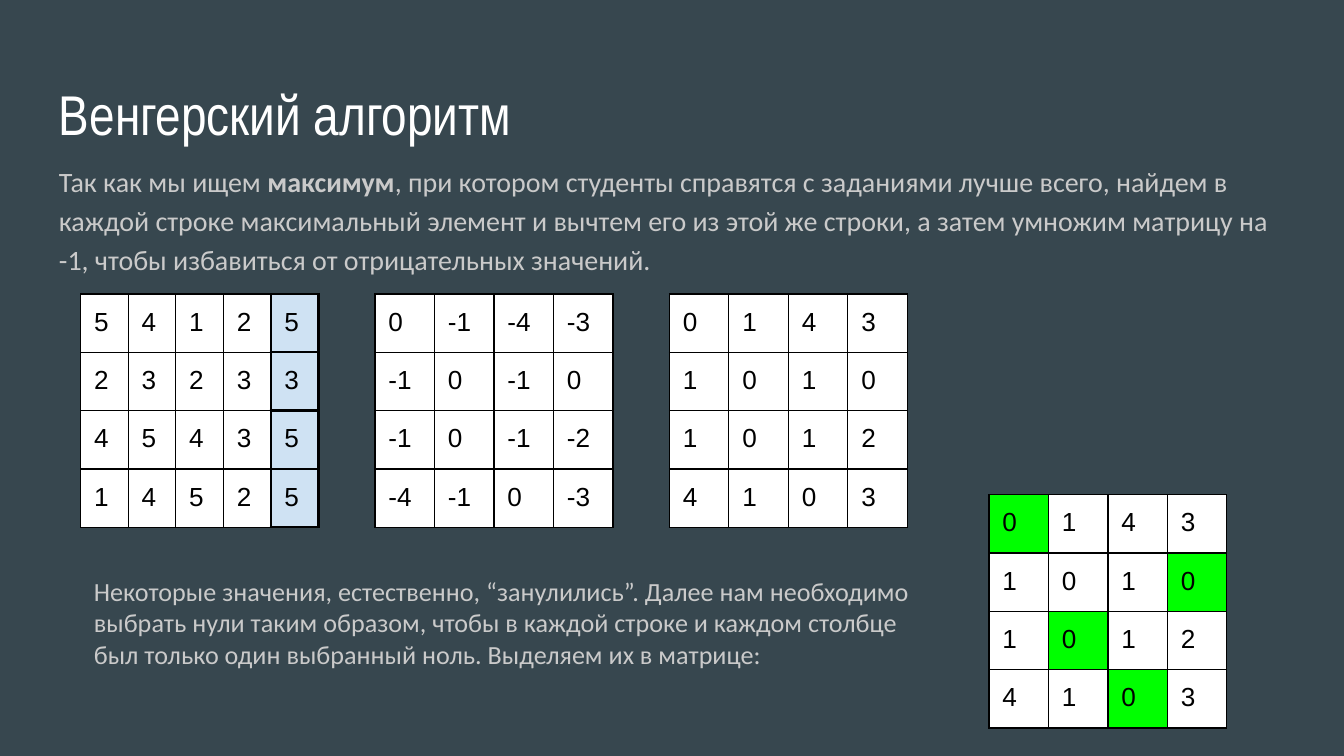
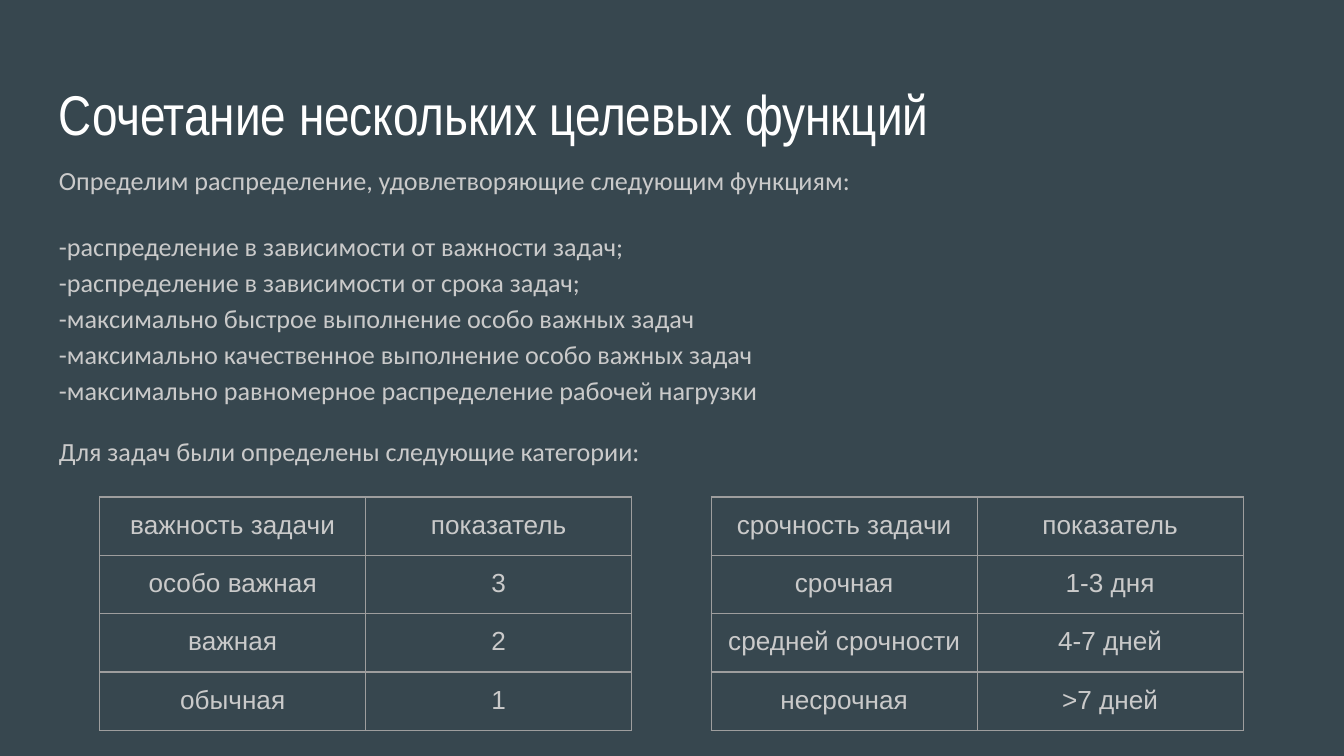
from lxml import etree
from pptx import Presentation
from pptx.dml.color import RGBColor
from pptx.enum.text import MSO_ANCHOR, PP_ALIGN
from pptx.oxml.ns import qn
from pptx.util import Pt

TOP, LEFT, CENTER = MSO_ANCHOR.TOP, PP_ALIGN.LEFT, PP_ALIGN.CENTER

COLORS = {
    "background": "37474F", "title": "FFFFFF", "body": "CACACA",
    "ink": "000000", "paper": "FFFFFF", "maximum": "CFE2F3",
    "chosen": "00FF00", "grid": "9E9E9E",
}

HUNGARIAN_TITLE = "Венгерский алгоритм"
MAXIMUM_INTRO = [
    ("Так как мы ищем ", False),
    ("максимум", True),
    (", при котором студенты справятся с заданиями лучше всего, найдем в каждой "
     "строке максимальный элемент и вычтем его из этой же строки, а затем умножим "
     "матрицу на -1, чтобы избавиться от отрицательных значений.", False),
]
ZERO_NOTE = (
    "Некоторые значения, естественно, “занулились”. Далее нам необходимо выбрать "
    "нули таким образом, чтобы в каждой строке и каждом столбце был только один "
    "выбранный ноль. Выделяем их в матрице:"
)
SCORES = [[5, 4, 1, 2], [2, 3, 2, 3], [4, 5, 4, 3], [1, 4, 5, 2]]
CHOSEN_ZEROS = {(0, 0), (1, 3), (2, 1), (3, 2)}

GOALS_TITLE = "Сочетание нескольких целевых функций"
GOALS_INTRO = "Определим распределение, удовлетворяющие следующим функциям:"
GOALS = [
    "-распределение в зависимости от важности задач;",
    "-распределение в зависимости от срока задач;",
    "-максимально быстрое выполнение особо важных задач",
    "-максимально качественное выполнение особо важных задач",
    "-максимально равномерное распределение рабочей нагрузки",
]
CATEGORIES_INTRO = "Для задач были определены следующие категории:"
IMPORTANCE = [("важность задачи", "показатель"), ("особо важная", 3),
              ("важная", 2), ("обычная", 1)]
URGENCY = [("срочность задачи", "показатель"), ("срочная", "1-3 дня"),
           ("средней срочности", "4-7 дней"), ("несрочная", ">7 дней")]

TITLE_BOX = (24.5, 35.3, 671, 45.4)
BODY_BOX = (24.5, 78.5, 671, 269.3)
NOTE_BOX = (43.2, 301, 466.6, 67.7)
MATRIX_LEFT, MATRIX_TOP, MATRIX_WIDTH, MATRIX_STEP = 43.2, 157.5, 127.5, 157.7
CHOICE_LEFT, CHOICE_TOP = 529.8, 265
CATEGORY_LEFTS, CATEGORY_TOP, CATEGORY_WIDTH = (53.4, 381), 266.3, 285
ROW_HEIGHT, INSET = 30, Pt(7.2)
THIN, THICK = Pt(0.75), Pt(1.5)
BLOCK_GAP = Pt(16)

INSETS = {f"margin_{side}": INSET for side in ("left", "top", "right", "bottom")}
FRAME_FORMAT = {**INSETS, "word_wrap": True, "vertical_anchor": TOP}
TITLE_FONT = {"name": "Arial Narrow", "size": Pt(30)}
INTRO_FONT = {"name": "Calibri", "size": Pt(15)}
TEXT_FONT = {"name": "Calibri", "size": Pt(14)}
CELL_FONT = {"name": "Arial", "size": Pt(14)}
LOOSE = {"line_spacing": 1.15}


def color(name):
    return RGBColor.from_string(COLORS[name])


def apply(target, values):
    for attribute, value in values.items():
        setattr(target, attribute, value)


def write(paragraph, content, font, color_name, spacing):
    apply(paragraph, spacing)
    runs = content if isinstance(content, list) else [(content, False)]
    for text, bold in runs:
        run = paragraph.add_run()
        run.text = str(text)
        apply(run.font, {**font, "bold": bold})
        run.font.color.rgb = color(color_name)


def add_text(slide, box, paragraphs, font, color_name="body"):
    frame = slide.shapes.add_textbox(*map(Pt, box)).text_frame
    apply(frame, FRAME_FORMAT)
    for index, (content, spacing) in enumerate(paragraphs):
        paragraph = frame.add_paragraph() if index else frame.paragraphs[0]
        write(paragraph, content, font, color_name, spacing)


def add_border(cell, side, width, color_name):
    properties = cell._tc.get_or_add_tcPr()
    line = etree.SubElement(properties, qn(f"a:ln{side}"), w=str(int(width)))
    fill = etree.SubElement(line, qn("a:solidFill"))
    etree.SubElement(fill, qn("a:srgbClr"), val=COLORS[color_name])


def add_grid(slide, left, top, width, rows, ink, border, align,
             paper=None, marked=(), mark=None, mark_width=THIN):
    columns = len(rows[0])
    table = slide.shapes.add_table(
        len(rows), columns, Pt(left), Pt(top), Pt(width), Pt(ROW_HEIGHT * len(rows))
    ).table
    apply(table, {"first_row": False, "horz_banding": False})
    for column in table.columns:
        column.width = Pt(width / columns)
    for r, row in enumerate(rows):
        table.rows[r].height = Pt(ROW_HEIGHT)
        for c, value in enumerate(row):
            cell = table.cell(r, c)
            apply(cell, INSETS)
            write(cell.text_frame.paragraphs[0], value, CELL_FONT, ink,
                  {"alignment": align})
            for side, neighbour in (("L", (r, c - 1)), ("R", (r, c + 1)),
                                    ("T", (r - 1, c)), ("B", (r + 1, c))):
                beside_mark = (r, c) in marked or neighbour in marked
                add_border(cell, side, mark_width if beside_mark else THIN, border)
            fill_name = mark if (r, c) in marked else paper
            if fill_name:
                cell.fill.solid()
                cell.fill.fore_color.rgb = color(fill_name)
            else:
                cell.fill.background()


def add_matrix(slide, left, top, rows, **marks):
    add_grid(slide, left, top, MATRIX_WIDTH, rows, "ink", "ink", LEFT,
             paper="paper", **marks)


def add_slide(deck, title):
    slide = deck.slides.add_slide(deck.slide_layouts[6])
    slide.background.fill.solid()
    slide.background.fill.fore_color.rgb = color("background")
    add_text(slide, TITLE_BOX, [(title, {})], TITLE_FONT, "title")
    return slide


def build_hungarian(deck):
    slide = add_slide(deck, HUNGARIAN_TITLE)
    add_text(slide, BODY_BOX, [(MAXIMUM_INTRO, LOOSE)], INTRO_FONT)
    with_maxima = [row + [max(row)] for row in SCORES]
    reduced = [[score - max(row) for score in row] for row in SCORES]
    costs = [[-value for value in row] for row in reduced]
    maxima = {(r, len(SCORES[0])) for r in range(len(SCORES))}
    steps = [(with_maxima, {"marked": maxima, "mark": "maximum", "mark_width": THICK}),
             (reduced, {}), (costs, {})]
    for index, (rows, marks) in enumerate(steps):
        add_matrix(slide, MATRIX_LEFT + index * MATRIX_STEP, MATRIX_TOP, rows, **marks)
    add_text(slide, NOTE_BOX, [(ZERO_NOTE, {})], TEXT_FONT)
    add_matrix(slide, CHOICE_LEFT, CHOICE_TOP, costs, marked=CHOSEN_ZEROS, mark="chosen")


def build_goals(deck):
    slide = add_slide(deck, GOALS_TITLE)
    first_goal, *other_goals = GOALS
    paragraphs = [(GOALS_INTRO, LOOSE),
                  (first_goal, {**LOOSE, "space_before": BLOCK_GAP}),
                  *((goal, LOOSE) for goal in other_goals),
                  (CATEGORIES_INTRO, {"space_before": BLOCK_GAP})]
    add_text(slide, BODY_BOX, paragraphs, TEXT_FONT)
    for left, categories in zip(CATEGORY_LEFTS, (IMPORTANCE, URGENCY)):
        add_grid(slide, left, CATEGORY_TOP, CATEGORY_WIDTH, categories,
                 "body", "grid", CENTER)


def main():
    deck = Presentation()
    apply(deck, {"slide_width": Pt(720), "slide_height": Pt(405)})
    build_hungarian(deck)
    build_goals(deck)
    deck.save("out.pptx")


if __name__ == "__main__":
    main()
